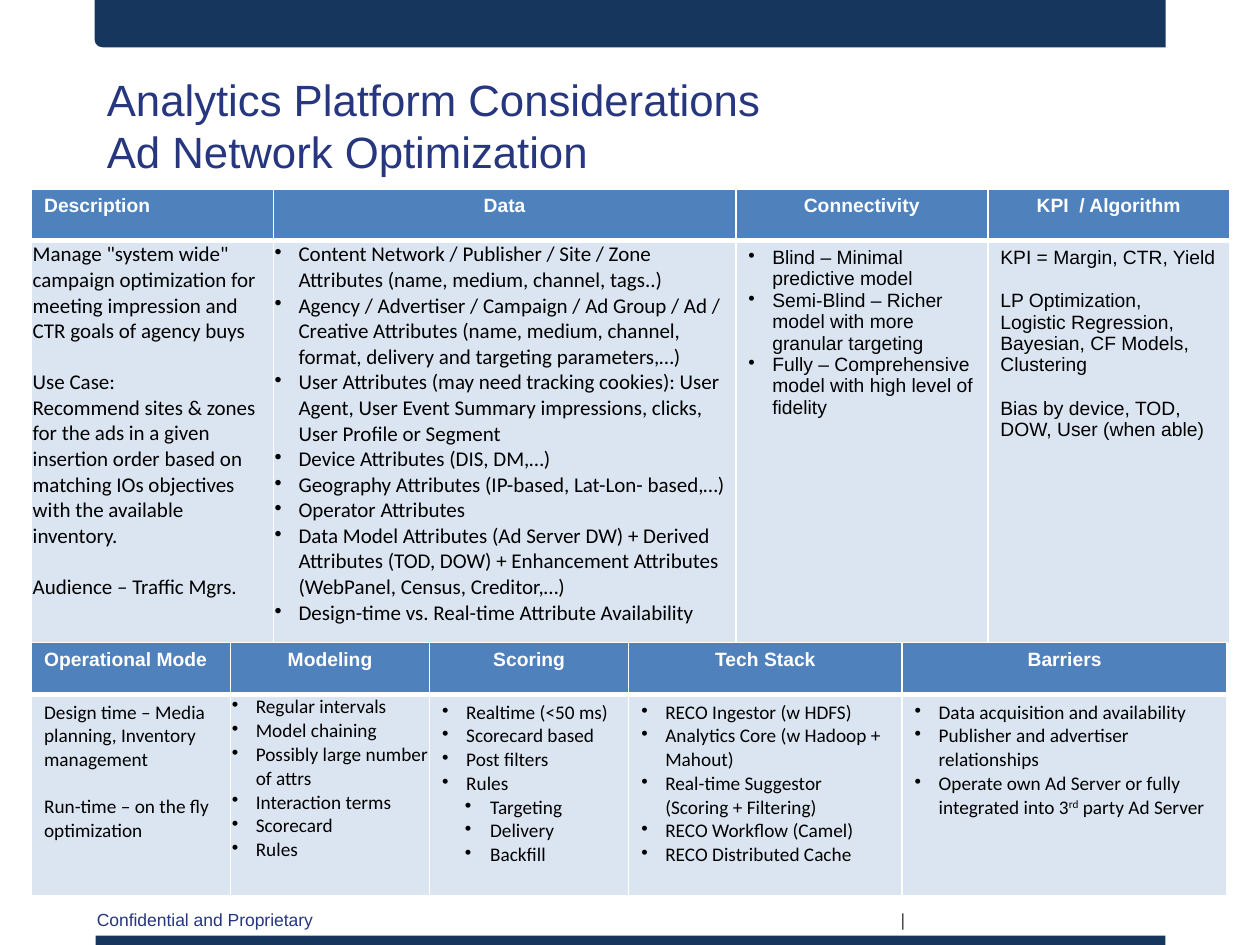
"""Build the ad network optimization slide with two tables."""
from collections import namedtuple

from lxml import etree
from pptx import Presentation
from pptx.dml.color import RGBColor
from pptx.enum.shapes import MSO_SHAPE as Shape
from pptx.enum.text import MSO_ANCHOR as Anchor, PP_ALIGN as Align
from pptx.oxml.ns import qn
from pptx.util import Inches, Pt

WIDE, HIGH = 10, 7.5
NAVY, INK, HEAD, PALE = "17365D", "26377F", "4F81BD", "DBE5F1"
WHITE, BLACK, GREY = "FFFFFF", "000000", "404040"
LOOSE, TIGHT = (0.1, 0.05, 0.1, 0.05), (0.01, 0.01, 0.01, 0)
INDENT = {1: (0.19, -0.19), 2: (0.38, -0.2)}

Para = namedtuple("Para", "text level gap", defaults=(0, 0))
Cell = namedtuple("Cell", "paras font size inset", defaults=("Calibri", 11, LOOSE))


def color(code):
    """Turn a hex string into a colour."""
    return RGBColor.from_string(code)


def place(left, top, width, height):
    """Turn shares of the slide into lengths."""
    return [Inches(n) for n in (left * WIDE, top * HIGH, width * WIDE, height * HIGH)]


def points(*texts, level=1):
    """List the texts as bullets."""
    return [Para(text, level) for text in texts]


def inset(frame, sides):
    """Set the four margins of a cell or text frame."""
    for name, size in zip(("left", "top", "right", "bottom"), sides):
        setattr(frame, "margin_" + name, Inches(size))


def style(run, form):
    """Apply a dict of font values to a run."""
    for name, value in form.items():
        if name == "color":
            run.font.color.rgb = color(value)
        else:
            setattr(run.font, name, value)


def bullet(para, level):
    """Give a paragraph a round bullet and its indent."""
    props = para._p.get_or_add_pPr()
    left, first = INDENT[level]
    props.set("marL", str(Inches(left)))
    props.set("indent", str(Inches(first)))
    props.set("lvl", str(level - 1))
    tint = etree.SubElement(props, qn("a:buClr"))
    etree.SubElement(tint, qn("a:srgbClr"), val=BLACK)
    etree.SubElement(props, qn("a:buChar"), char="•")


def write(frame, paras, form, align=Align.LEFT):
    """Fill a text frame, raising the parts between carets."""
    for at, item in enumerate(paras):
        para = frame.paragraphs[0] if at == 0 else frame.add_paragraph()
        para.alignment = align
        if item.gap:
            para.space_before = Pt(item.gap)
        if item.level:
            bullet(para, item.level)
        for part, text in enumerate(item.text.split("^")):
            run = para.add_run()
            run.text = text
            style(run, form)
            if part % 2:
                run._r.get_or_add_rPr().set("baseline", "30000")


def edge(cell, sides):
    """Draw white borders of the given widths on a cell."""
    props = cell._tc.get_or_add_tcPr()
    for side, width in sides.items():
        line = etree.SubElement(props, qn("a:ln" + side), w=str(Pt(width)))
        fill = etree.SubElement(line, qn("a:solidFill"))
        etree.SubElement(fill, qn("a:srgbClr"), val=WHITE)


def paint(cell, fill, sides, margins):
    """Set the borders, fill and margins of a cell."""
    edge(cell, sides)
    cell.fill.solid()
    cell.fill.fore_color.rgb = color(fill)
    inset(cell, margins)


def grid(slide, top, cols, rows, heads, cells):
    """Add a table with one head row and one body row."""
    box = place(0.025, top, sum(cols) / WIDE, sum(rows) / HIGH)
    table = slide.shapes.add_table(2, len(cols), *box).table
    table.horz_banding = False
    for row, height in zip(table.rows, rows):
        row.height = Inches(height)
    for at, (width, head, body) in enumerate(zip(cols, heads, cells)):
        table.columns[at].width = Inches(width)
        cell = table.cell(0, at)
        paint(cell, HEAD, {"L": 1, "R": 1, "T": 1, "B": 3}, LOOSE)
        form = {"name": "Arial", "size": Pt(11), "bold": True, "color": WHITE}
        write(cell.text_frame, [Para(head)], form, Align.CENTER if at else Align.LEFT)
        cell = table.cell(1, at)
        paint(cell, PALE, {"L": 1, "R": 1, "B": 1}, body.inset)
        form = {"name": body.font, "size": Pt(body.size), "bold": False, "color": BLACK}
        write(cell.text_frame, body.paras, form)


def bar(slide, kind, box, turn=0):
    """Add a plain navy bar."""
    shape = slide.shapes.add_shape(kind, *place(*box))
    shape.shadow.inherit = False
    shape.rotation = turn
    shape.fill.solid()
    shape.fill.fore_color.rgb = color(NAVY)
    shape.line.fill.background()


def label(slide, box, text, size, tint, wrap=True):
    """Add a text box in Arial."""
    frame = slide.shapes.add_textbox(*place(*box)).text_frame
    frame.word_wrap = wrap
    frame.vertical_anchor = Anchor.TOP
    inset(frame, LOOSE)
    form = {"name": "Arial", "size": Pt(size), "color": tint}
    write(frame, [Para(text)], form)
    return frame


def title(slide):
    """Add the two title lines, parted by a line break."""
    frame = label(slide, (0.075, 0.07, 0.85, 0.13), "Analytics Platform Considerations", 25, INK)
    para = frame.paragraphs[0]
    para.add_line_break()
    run = para.add_run()
    run.text = "Ad Network Optimization"
    style(run, {"name": "Arial", "size": Pt(25), "color": INK})


def upper(slide):
    """Add the table on data and links."""
    about = [
        Para('Manage "system wide" campaign optimization for meeting impression and CTR goals of agency buys'),
        Para("Use Case:", gap=14.6),
        Para("Recommend sites & zones for the ads in a given insertion order based on "
             "matching IOs objectives with the available inventory."),
        Para("Audience – Traffic Mgrs.", gap=14.6)]
    data = points(
        "Content Network / Publisher / Site / Zone Attributes (name, medium, channel, tags..)",
        "Agency / Advertiser / Campaign / Ad Group / Ad / Creative Attributes "
        "(name, medium, channel, format, delivery and targeting parameters,…)",
        "User Attributes (may need tracking cookies): User Agent, User Event Summary "
        "impressions, clicks, User Profile or Segment",
        "Device Attributes (DIS, DM,…)",
        "Geography Attributes (IP-based, Lat-Lon- based,…)",
        "Operator Attributes",
        "Data Model Attributes (Ad Server DW) + Derived Attributes (TOD, DOW) + "
        "Enhancement Attributes (WebPanel, Census, Creditor,…)",
        "Design-time vs. Real-time Attribute Availability")
    links = points("Blind – Minimal predictive model",
                   "Semi-Blind – Richer model with more granular targeting",
                   "Fully – Comprehensive model with high level of fidelity")
    goals = [Para("KPI = Margin, CTR, Yield"), Para("LP Optimization,", gap=12.5),
             Para("Logistic Regression, Bayesian, CF Models, Clustering"),
             Para("Bias by device, TOD, DOW, User (when able)", gap=12.5)]
    grid(slide, 0.2, (1.92, 3.67, 2, 1.92), (0.41, 3.2),
         ("Description", "Data", "Connectivity", "KPI  / Algorithm"),
         (Cell(about, size=12, inset=TIGHT), Cell(data, size=12, inset=TIGHT),
          Cell(links, "Arial"), Cell(goals, "Arial")))


def lower(slide):
    """Add the table on modes and tools."""
    mode = [Para("Design time – Media planning, Inventory management"),
            Para("Run-time – on the fly optimization", gap=13.4)]
    model = points("Regular intervals", "Model chaining", "Possibly large number of attrs",
                   "Interaction terms", "Scorecard", "Rules")
    score = (points("Realtime (<50 ms)", "Scorecard based", "Post filters", "Rules")
             + points("Targeting", "Delivery", "Backfill", level=2))
    stack = points("RECO Ingestor (w HDFS)", "Analytics Core (w Hadoop + Mahout)",
                   "Real-time Suggestor (Scoring + Filtering)", "RECO Workflow (Camel)",
                   "RECO Distributed Cache")
    snags = points("Data acquisition and availability", "Publisher and advertiser relationships",
                   "Operate own Ad Server or fully integrated into 3^rd^ party Ad Server")
    grid(slide, 0.68, (1.58, 1.58, 1.58, 2.17, 2.58), (0.41, 1.6),
         ("Operational Mode", "Modeling", "Scoring", "Tech Stack", "Barriers"),
         (Cell(mode), Cell(model, inset=TIGHT), Cell(score), Cell(stack), Cell(snags)))


def main():
    """Build and save the slide."""
    deck = Presentation()
    deck.slide_width, deck.slide_height = Inches(WIDE), Inches(HIGH)
    slide = deck.slides.add_slide(deck.slide_layouts[6])
    bar(slide, Shape.RECTANGLE, (0.076, 0.99, 0.849, 0.01))
    bar(slide, Shape.ROUND_1_RECTANGLE, (0.075, 0, 0.85, 0.05), 180)
    label(slide, (0.067, 0.955, 0.194, 0.036), "Confidential and Proprietary", 10, INK, False)
    label(slide, (0.705, 0.955, 0.033, 0.036), "|", 10, GREY, False)
    title(slide)
    upper(slide)
    lower(slide)
    deck.save("out.pptx")


if __name__ == "__main__":
    main()
